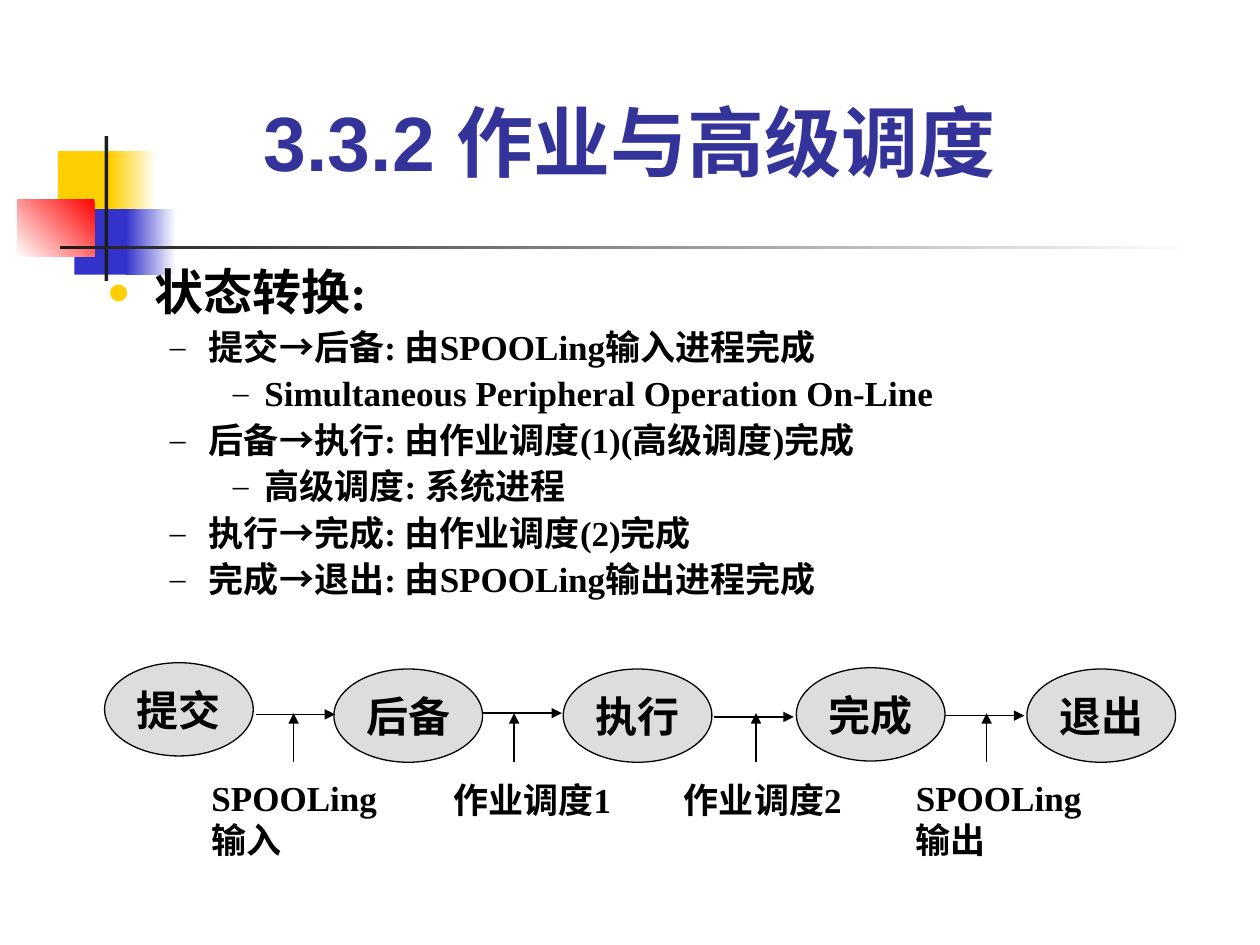
from lxml import etree
from pptx import Presentation, util as u
from pptx.dml import color
from pptx.enum import shapes, text
from pptx.oxml import ns

SERIF = "Times New Roman"
BODY_LEVELS = [
    dict(indent=0.38, hang=0.38, size=28, before=0, mark="●", tint="FFCF01", scale=80),
    dict(indent=0.81, hang=0.31, size=20, before=5, mark="–", tint="000000", scale=90),
    dict(indent=1.25, hang=0.25, size=20, before=5, mark="–", tint="000000", scale=90),
]


def rgb(value):
    return color.RGBColor.from_string(value)


def apply(target, values):
    for name, value in values.items():
        setattr(target, name, value)


def add_xml(parent, tag, **attributes):
    child = etree.SubElement(parent, ns.qn(tag))
    for name, value in attributes.items():
        child.set(name, str(value))
    return child


class Painter:
    ink = "000000"

    def __init__(self, page):
        self.page = page

    def shape(self, kind, place, fill=None, gradient=None, angle=180, line=None):
        box = self.page.shapes.add_shape(kind, *map(u.Inches, place))
        box.shadow.inherit = False
        if gradient:
            box.fill.gradient()
            box.fill.gradient_angle = angle
            for stop, value in zip(box.fill.gradient_stops, gradient):
                stop.color.rgb = rgb(value)
        else:
            box.fill.solid()
            box.fill.fore_color.rgb = rgb(fill)
        if line:
            box.line.color.rgb = rgb(line)
            box.line.width = u.Pt(0.75)
        else:
            box.line.fill.background()
        return box

    def bar(self, place, **paint):
        self.shape(shapes.MSO_SHAPE.RECTANGLE, place, **paint)

    def span(self, para, words, size, face=SERIF, tint=ink):
        span = para.add_run()
        span.text = words
        apply(span.font, dict(size=u.Pt(size), name=face, bold=True))
        span.font.color.rgb = rgb(tint)

    def frame(self, place, **values):
        frame = self.page.shapes.add_textbox(*map(u.Inches, place)).text_frame
        apply(frame, dict(word_wrap=True, **values))
        return frame

    def title(self, place, words):
        frame = self.frame(place, vertical_anchor=text.MSO_ANCHOR.MIDDLE)
        para = frame.paragraphs[0]
        para.alignment = text.PP_ALIGN.CENTER
        self.span(para, words, 44, "Arial", "333399")

    def label(self, place, words):
        frame = self.frame(place, auto_size=text.MSO_AUTO_SIZE.SHAPE_TO_FIT_TEXT)
        self.span(frame.paragraphs[0], words, 20)

    def outline(self, place, items):
        frame = self.frame(place)
        for index, (depth, words) in enumerate(items):
            para = frame.add_paragraph() if index else frame.paragraphs[0]
            level = BODY_LEVELS[depth]
            self.bullet(para, level)
            apply(para, dict(level=depth, line_spacing=0.9,
                             space_before=u.Pt(level["before"])))
            before, arrow, after = words.partition("→")
            self.span(para, before, level["size"])
            if arrow:
                self.span(para, arrow, level["size"], "Arial")
                self.span(para, after, level["size"])

    def bullet(self, para, level):
        props = para._p.get_or_add_pPr()
        props.set("marL", str(u.Inches(level["indent"])))
        props.set("indent", str(-u.Inches(level["hang"])))
        add_xml(add_xml(props, "a:buClr"), "a:srgbClr", val=level["tint"])
        add_xml(props, "a:buSzPct", val=level["scale"] * 1000)
        add_xml(props, "a:buFont", typeface=SERIF)
        add_xml(props, "a:buChar", char=level["mark"])

    def state(self, place, words):
        box = self.shape(shapes.MSO_SHAPE.OVAL, place, fill="DDDDDD", line=self.ink)
        apply(box.text_frame, dict(word_wrap=False,
                                   vertical_anchor=text.MSO_ANCHOR.MIDDLE))
        para = box.text_frame.paragraphs[0]
        para.alignment = text.PP_ALIGN.CENTER
        self.span(para, words, 24)

    def arrow(self, *ends):
        line = self.page.shapes.add_connector(
            shapes.MSO_CONNECTOR.STRAIGHT, *map(u.Inches, ends))
        line.line.color.rgb = rgb(self.ink)
        line.line.width = u.Pt(0.75)
        add_xml(line.line._get_or_add_ln(), "a:tailEnd", type="triangle")
        add_xml(line._element.spPr, "a:effectLst")


def main():
    deck = Presentation()
    apply(deck, dict(slide_width=u.Inches(10), slide_height=u.Inches(7.5)))
    painter = Painter(deck.slides.add_slide(deck.slide_layouts[6]))

    # Corner ornament and title rule
    painter.bar((0.46, 1.2, 0.48, 0.52), fill="FFCF01")
    painter.bar((0.88, 1.2, 0.36, 0.52), gradient=("FFFFFF", "FFCF01"))
    painter.bar((0.59, 1.66, 0.46, 0.52), fill="3333CC")
    painter.bar((1, 1.66, 0.4, 0.52), gradient=("FFFFFF", "3333CC"))
    painter.bar((0.14, 1.58, 0.61, 0.46), gradient=("FF0000", "FFFFFF"), angle=225)
    painter.bar((0.83, 1.08, 0.03, 1.15), fill="1C1C1C")
    painter.bar((0.48, 1.95, 9, 0.03), gradient=("FFFFFF", "1C1C1C"))

    # Title and outline
    painter.title((0.75, 0.57, 8.5, 1.1), "3.3.2 作业与高级调度")
    painter.outline((0.75, 2.08, 8.5, 2.67), [
        (0, "状态转换:"),
        (1, "提交→后备: 由SPOOLing输入进程完成"),
        (2, "Simultaneous Peripheral Operation On-Line"),
        (1, "后备→执行: 由作业调度(1)(高级调度)完成"),
        (2, "高级调度: 系统进程"),
        (1, "执行→完成: 由作业调度(2)完成"),
        (1, "完成→退出: 由SPOOLing输出进程完成"),
    ])

    # Job states
    for left, top, words in [(0.83, 5.26, "提交"), (2.65, 5.31, "后备"),
                             (4.47, 5.31, "执行"), (6.32, 5.3, "完成"),
                             (8.15, 5.31, "退出")]:
        painter.state((left, top, 1.18, 0.74), words)

    # Transitions between states
    for left, height in [(2.03, 5.67), (3.83, 5.66), (5.67, 5.69), (7.5, 5.68)]:
        painter.arrow(left, height, left + 0.63, height)

    # Causes of the transitions
    for middle, left, top, width, words in [
            (2.33, 1.58, 6.11, 1.67, "SPOOLing输入"),
            (4.08, 3.5, 6.13, 1.5, "作业调度1"),
            (6, 5.33, 6.13, 1.5, "作业调度2"),
            (7.83, 7.17, 6.11, 1.58, "SPOOLing输出")]:
        painter.arrow(middle, 6.05, middle, 5.66)
        painter.label((left, top, width, 0.77), words)

    deck.save("out.pptx")


if __name__ == "__main__":
    main()
